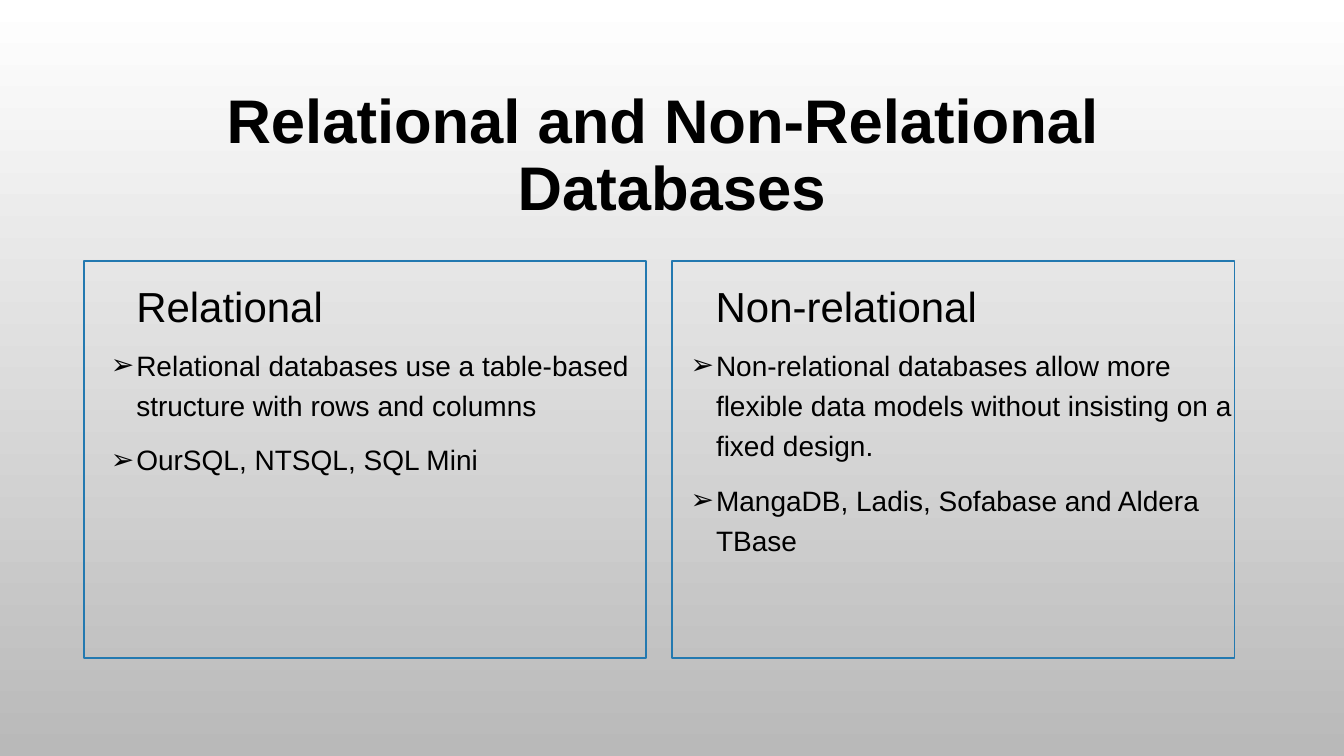
import pptx
import pptx.dml.color
import pptx.enum.shapes
import pptx.enum.text
import pptx.oxml
import pptx.oxml.ns
import pptx.util
from pptx.util import Cm

INK = "000000"
FRAME = "2379B0"
BULLET_INDENT = Cm(0.64)
PANEL_TOP = Cm(6.58)
LIST_TOP = Cm(8.48)
ANCHOR = pptx.enum.text.MSO_ANCHOR
ALIGN = pptx.enum.text.PP_ALIGN

TITLE_FORMAT = {
    "font": {"size": pptx.util.Pt(44), "bold": True},
    "para": {"alignment": ALIGN.CENTER, "line_spacing": 0.9},
    "anchor": ANCHOR.MIDDLE,
}
HEADING_FORMAT = {
    "font": {"size": pptx.util.Pt(30), "bold": False},
    "para": {"alignment": ALIGN.LEFT, "line_spacing": 0.85,
             "space_before": pptx.util.Pt(10)},
    "anchor": ANCHOR.BOTTOM,
}
LIST_FORMAT = {
    "font": {"size": pptx.util.Pt(20), "bold": False},
    "para": {"alignment": ALIGN.LEFT, "line_spacing": 1.2,
             "space_before": pptx.util.Pt(10)},
    "anchor": ANCHOR.TOP,
}

PANELS = [
    {
        "heading": "Relational",
        "items": ["Relational databases use a table-based structure with rows and columns",
                  "OurSQL, NTSQL, SQL Mini"],
        "heading_left": Cm(3.18), "list_left": Cm(2.54), "frame_left": Cm(2.11),
    },
    {
        "heading": "Non-relational",
        "items": ["Non-relational databases allow more flexible data models "
                  "without insisting on a fixed design.",
                  "MangaDB, Ladis, Sofabase and Aldera TBase"],
        "heading_left": Cm(17.78), "list_left": Cm(17.15), "frame_left": Cm(16.94),
    },
]


def color(value):
    return pptx.dml.color.RGBColor.from_string(value)


def set_attributes(target, values):
    for name, value in values.items():
        setattr(target, name, value)


def place(box, left, top, width, height):
    set_attributes(box, {"left": left, "top": top, "width": width, "height": height})


def paint_background(page, top_color, bottom_color):
    fill = page.background.fill
    fill.gradient()
    fill.gradient_angle = 270
    for stop, value in zip(fill.gradient_stops, (top_color, bottom_color)):
        stop.color.rgb = color(value)


def write(box, lines, style):
    frame = box.text_frame
    set_attributes(frame, {"word_wrap": True, "vertical_anchor": style["anchor"],
                           "auto_size": pptx.enum.text.MSO_AUTO_SIZE.NONE})
    frame.text = "\n".join(lines)
    for para in frame.paragraphs:
        set_attributes(para, style["para"])
        for span in para.runs:
            set_attributes(span.font, {"name": "Arial", **style["font"]})
            span.font.color.rgb = color(INK)


def add_bullets(box):
    namespace = pptx.oxml.ns.nsdecls("a")
    for para in box.text_frame.paragraphs:
        properties = para._p.get_or_add_pPr()
        properties.set("marL", str(BULLET_INDENT))
        properties.set("indent", str(-BULLET_INDENT))
        for markup in (
            f'<a:buClr {namespace}><a:srgbClr val="{INK}"/></a:buClr>',
            f'<a:buFont {namespace} typeface="Arial"/>',
            f'<a:buChar {namespace} char="➢"/>',
        ):
            properties.append(pptx.oxml.parse_xml(markup))


def add_frame(page, left):
    frame = page.shapes.add_shape(pptx.enum.shapes.MSO_SHAPE.RECTANGLE,
                                  left, PANEL_TOP, Cm(14.17), Cm(10.01))
    frame.shadow.inherit = False
    frame.fill.background()
    frame.line.color.rgb = color(FRAME)
    frame.line.width = pptx.util.Pt(1.25)


def fill_panel(heading_box, list_box, panel):
    place(heading_box, panel["heading_left"], PANEL_TOP, Cm(13.55), Cm(1.88))
    write(heading_box, [panel["heading"]], HEADING_FORMAT)
    place(list_box, panel["list_left"], LIST_TOP, Cm(14.18), Cm(7.62))
    write(list_box, panel["items"], LIST_FORMAT)
    add_bullets(list_box)


def main():
    deck = pptx.Presentation()
    set_attributes(deck, {"slide_width": Cm(33.87), "slide_height": Cm(19.05)})
    page = deck.slides.add_slide(deck.slide_layouts.get_by_name("Comparison"))
    paint_background(page, "FFFFFF", "B9B9B9")

    title, *bodies = page.placeholders
    place(title, Cm(2.54), Cm(1.73), Cm(28.78), Cm(4.45))
    write(title, ["Relational and Non-Relational \vDatabases"], TITLE_FORMAT)

    for heading_box, list_box, panel in zip(bodies[::2], bodies[1::2], PANELS):
        fill_panel(heading_box, list_box, panel)
    for panel in PANELS:
        add_frame(page, panel["frame_left"])

    deck.save("out.pptx")


if __name__ == "__main__":
    main()
